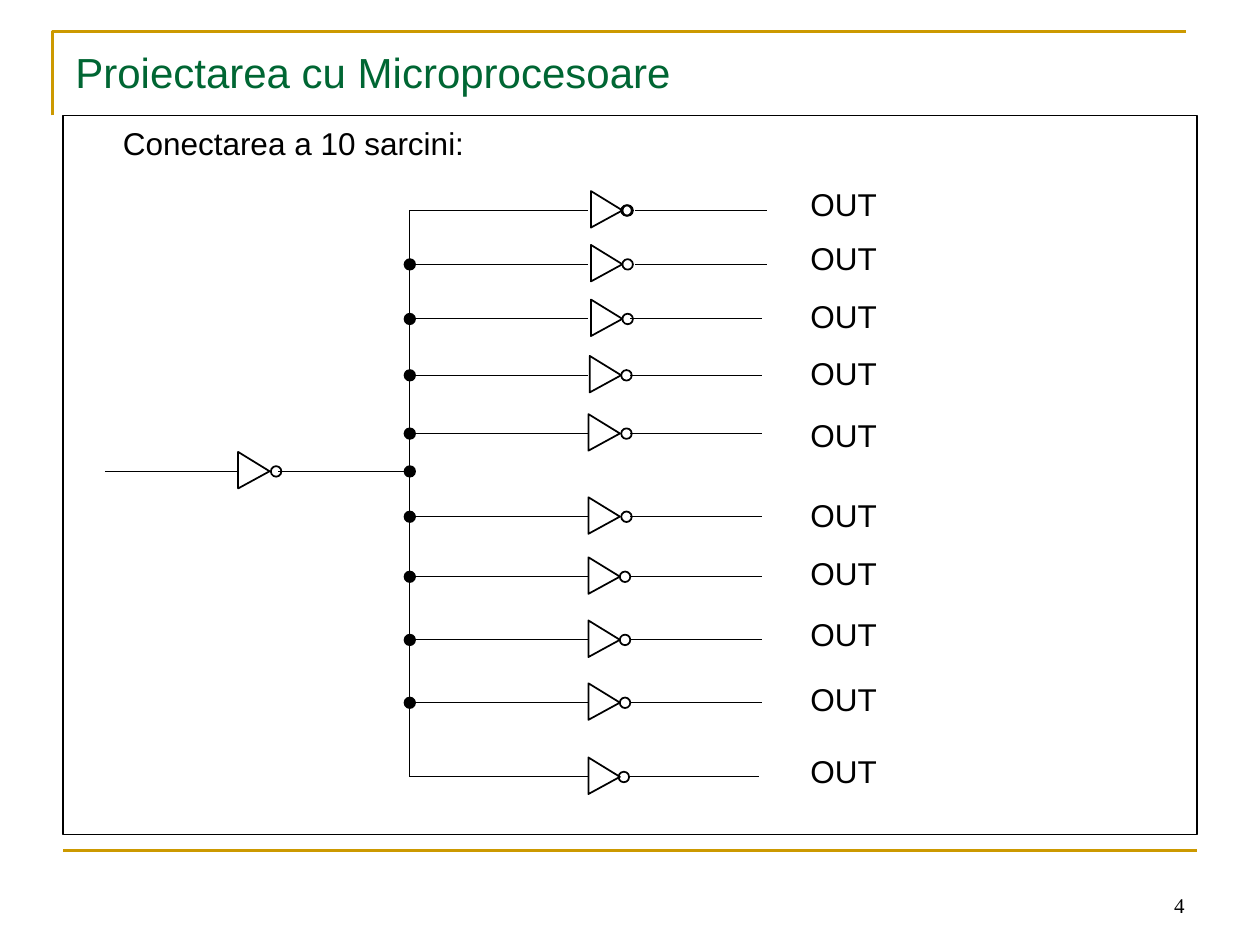
import pptx
import pptx.util
import pptx.dml.color
import pptx.enum.shapes
import pptx.enum.text
import lxml.etree

Pt = pptx.util.Pt
Kind = pptx.enum.shapes.MSO_SHAPE
Anchor = pptx.enum.text.MSO_ANCHOR
Align = pptx.enum.text.PP_ALIGN


def rgb(code):
    return pptx.dml.color.RGBColor.from_string(code)


deck = pptx.Presentation()
deck.slide_width, deck.slide_height = Pt(720), Pt(540)
slide = deck.slides.add_slide(deck.slide_layouts[6])
shapes = slide.shapes

GOLD, BLACK, GREEN = "CC9900", "000000", "006633"

# Frame: gold corner, and the outlined body
pen = shapes.build_freeform(Pt(30), Pt(66))
pen.add_line_segments([(Pt(30), Pt(18)), (Pt(678), Pt(18))], close=False)
corner = pen.convert_to_shape()
corner.shadow.inherit = False
corner.fill.background()
corner.line.color.rgb = rgb(GOLD)
corner.line.width = Pt(1.5)

body = shapes.add_shape(Kind.RECTANGLE, Pt(36), Pt(66), Pt(648), Pt(411))
body.shadow.inherit = False
body.fill.background()
body.line.color.rgb = rgb(BLACK)
body.line.width = Pt(0.75)

# Each row: wire y, gate left, bubble left, output left, label top
rows = [
    (120.2, 336.2, 355.7, 362.9, 102.2),
    (151, 336.2, 355.7, 362.9, 133.2),
    (182.2, 336.2, 355.7, 360, 166.3),
    (214.4, 335.5, 355, 360, 198.7),
    (247.7, 334.8, 355, 360, 234),
    (295.2, 334.8, 355, 360, 280.1),
    (329.5, 334.8, 354.2, 360, 313.2),
    (365.6, 334.8, 354.2, 360, 347.8),
    (401.5, 334.8, 354.2, 360, 385.2),
    (443.9, 334.8, 353.5, 358.6, 426.2),
]
BUS, FEED, SPAN = 234, 269.3, 75.4
first, last = rows[0][0], rows[-1][0]

# Lines: x1, y1, x2, y2, colour, width
lines = [
    (36, 486, 684, 486, GOLD, 1.5),
    (BUS, first, BUS, last, BLACK, 0.5),
    (60, FEED, 60 + SPAN, FEED, BLACK, 0.5),
    (159, FEED, BUS, FEED, BLACK, 0.5),
]
gates = [(134.6, FEED)]
rings = [(154.8, FEED), (355, first)]
dots = [(BUS, FEED)] + [(BUS, row[0]) for row in rows[1:-1]]
for y, gate, ring, out, top in rows:
    lines.append((BUS, y, 336.2, y, BLACK, 0.5))
    lines.append((out, y, out + SPAN, y, BLACK, 0.5))
    gates.append((gate, y))
    rings.append((ring, y))

for x1, y1, x2, y2, color, width in lines:
    wire = shapes.add_connector(pptx.enum.shapes.MSO_CONNECTOR.STRAIGHT,
                                Pt(x1), Pt(y1), Pt(x2), Pt(y2))
    wire.line.color.rgb = rgb(color)
    wire.line.width = Pt(width)
    lxml.etree.SubElement(wire._element.spPr, pptx.oxml.ns.qn("a:effectLst"))

# Parts: kind, left, top, width, height, fill
parts = [(Kind.ISOSCELES_TRIANGLE, x, y - 9.6, 20.9, 18, "FFFFFF") for x, y in gates]
parts += [(Kind.OVAL, x, y - 2.9, 6, 6, None) for x, y in rings]
parts += [(Kind.OVAL, x - 2.8, y - 2.9, 6, 6, BLACK) for x, y in dots]
for kind, x, y, width, height, fill in parts:
    part = shapes.add_shape(kind, Pt(x), Pt(y), Pt(width), Pt(height))
    part.shadow.inherit = False
    part.line.color.rgb = rgb(BLACK)
    part.line.width = Pt(1)
    if fill:
        part.fill.solid()
        part.fill.fore_color.rgb = rgb(fill)
    else:
        part.fill.background()
    if kind == Kind.ISOSCELES_TRIANGLE:
        part.rotation = 90
        part.adjustments[0] = 0.53

# Texts: box, words, size, font, colour, anchor, alignment
title = shapes.add_textbox(Pt(36), Pt(21.6), Pt(648), Pt(38.2))
page = shapes.add_textbox(Pt(516), Pt(492), Pt(168), Pt(36))
texts = [
    (title, "Proiectarea cu Microprocesoare", 24, "Arial", GREEN, Anchor.MIDDLE, Align.LEFT),
    (body, "Conectarea a 10 sarcini:", 18, "Arial", BLACK, Anchor.TOP, Align.LEFT),
    (page, "4", 12, "Times New Roman", BLACK, Anchor.BOTTOM, Align.RIGHT),
]
for row in rows:
    label = shapes.add_textbox(Pt(456), Pt(row[-1]), Pt(60), Pt(28.8))
    label.text_frame.auto_size = pptx.enum.text.MSO_AUTO_SIZE.SHAPE_TO_FIT_TEXT
    texts.append((label, "OUT", 18, "Arial", BLACK, Anchor.TOP, Align.LEFT))

for box, words, size, face, color, anchor, align in texts:
    frame = box.text_frame
    frame.word_wrap = True
    frame.vertical_anchor = anchor
    para = frame.paragraphs[0]
    para.text = words
    para.alignment = align
    para.font.size = Pt(size)
    para.font.name = face
    para.font.color.rgb = rgb(color)

# The body text is indented and sits a little lower
body.text_frame.margin_left = Pt(34.2)
body.text_frame.margin_top = Pt(5)

deck.save("out.pptx")
